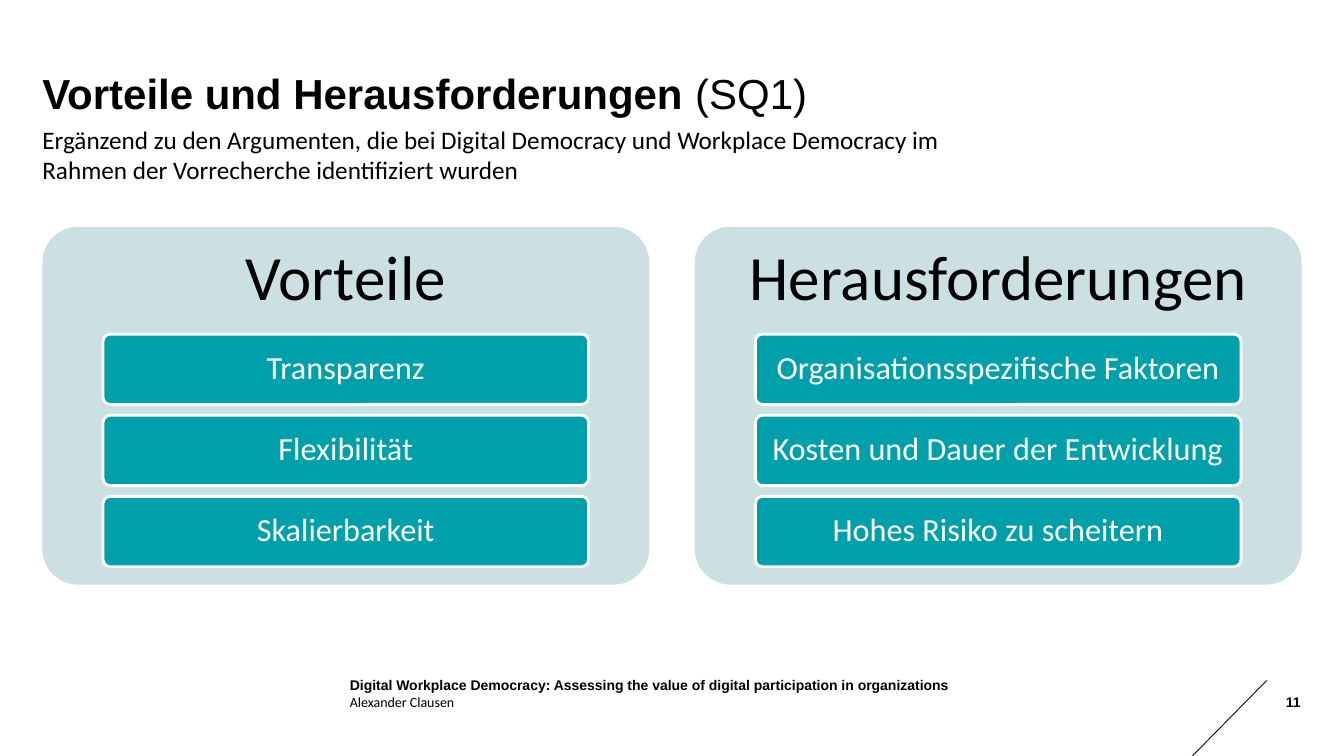
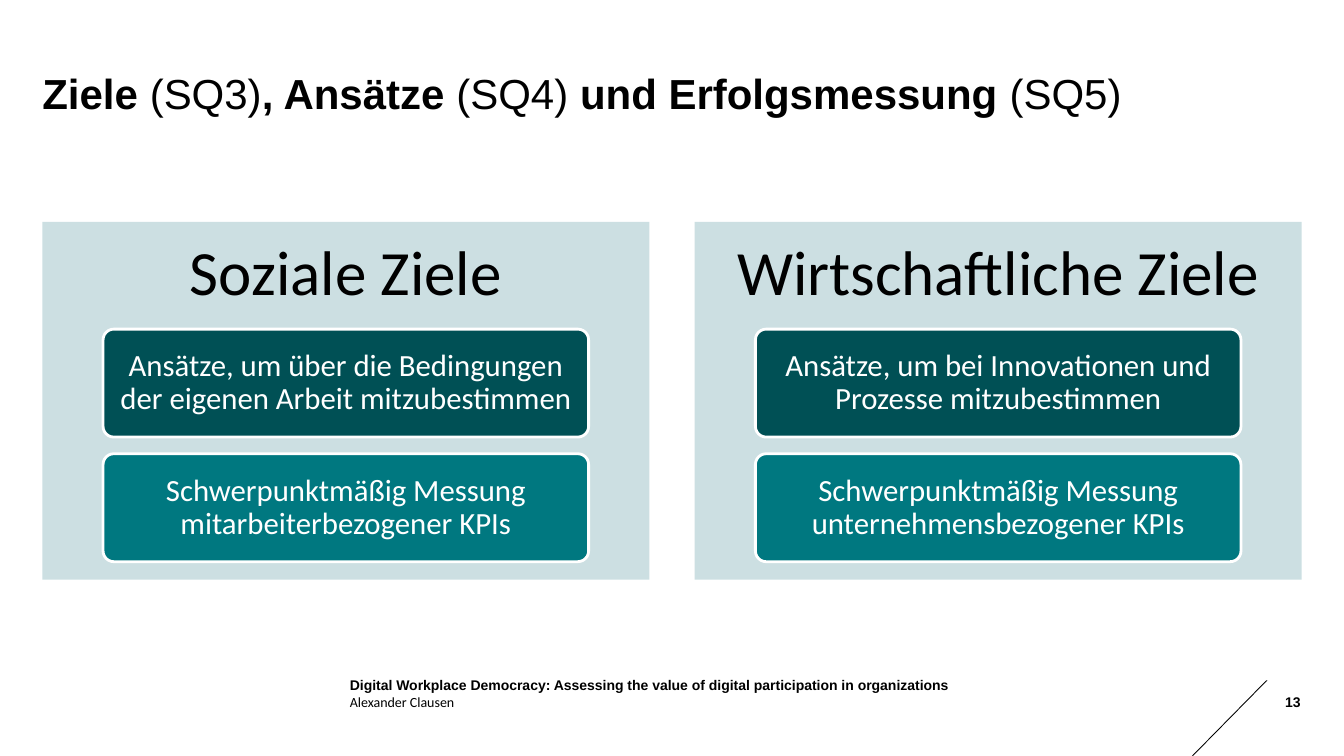
from pptx import Presentation
from pptx.dml.color import RGBColor
from pptx.enum.shapes import MSO_SHAPE
from pptx.enum.text import MSO_ANCHOR, MSO_AUTO_SIZE, PP_ALIGN
from pptx.util import Inches, Pt

RECT, ROUND = MSO_SHAPE.RECTANGLE, MSO_SHAPE.ROUNDED_RECTANGLE
SLANT = MSO_SHAPE.PARALLELOGRAM
TOP, MID = MSO_ANCHOR.TOP, MSO_ANCHOR.MIDDLE
LEFT, CENTER, RIGHT = PP_ALIGN.LEFT, PP_ALIGN.CENTER, PP_ALIGN.RIGHT
FIXED = MSO_AUTO_SIZE.NONE

HEX = {
    "ink": "000000",
    "paper": "FFFFFF",
    "panel": "CCDFE2",
    "teal": "00A0AA",
    "deep": "005055",
    "mid": "007880",
}
WIDE, HIGH = 13.33, 7.5
EDGE = 0.42
SPAN = 12.49
PANEL = 6.02
TALL = 3.55
SIDE = 0.1
HEAD, BODY = 0.3, 0.65
GAP = 0.154


def tint(name):
    return RGBColor.from_string(HEX[name])


def place(shape, box):
    shape.left, shape.top, shape.width, shape.height = map(Inches, box)


def pad(frame, x=0, y=0, anchor=TOP):
    frame.word_wrap = True
    frame.auto_size = FIXED
    frame.vertical_anchor = anchor
    frame.margin_left = frame.margin_right = Inches(x)
    frame.margin_top = frame.margin_bottom = Inches(y)


def style(para, size, color="ink", face="Calibri", bold=False, align=LEFT):
    para.alignment = align
    font = para.font
    font.name, font.size, font.bold = face, Pt(size), bold
    font.color.rgb = tint(color)


def label(slide, box, text, size, anchor=MID, **look):
    shape = slide.shapes.add_textbox(*map(Inches, box))
    pad(shape.text_frame, anchor=anchor)
    para = shape.text_frame.paragraphs[0]
    para.text = text
    style(para, size, **look)
    return para


def block(slide, kind, box, fill, ratio=None):
    shape = slide.shapes.add_shape(kind, *map(Inches, box))
    shape.shadow.inherit = False
    shape.fill.solid()
    shape.fill.fore_color.rgb = tint(fill)
    shape.line.fill.background()
    if ratio is not None:
        shape.adjustments[0] = ratio
    return shape


def title(slide, parts):
    shape = slide.shapes.title
    place(shape, (EDGE, 0.67, SPAN, 0.5))
    pad(shape.text_frame)
    para = shape.text_frame.paragraphs[0]
    style(para, 30, face="Arial", bold=True)
    for text in parts:
        run = para.add_run()
        run.text = text
        if text.startswith("("):
            run.font.bold = False


def footer(slide, number):
    row = 0.17
    top = 6.71
    label(slide, (3.47, top, 6.36, row),
          "Digital Workplace Democracy: Assessing the value of digital "
          "participation in organizations", 10, face="Arial", bold=True)
    label(slide, (3.47, top + row, 6.36, row), "Alexander Clausen", 10)
    label(slide, (12.34, top + row, 0.56, row), str(number), 10,
          face="Arial", bold=True, align=RIGHT)
    block(slide, SLANT, (11.82, HIGH - 0.75, 0.75, 0.75), "ink", 0.984)


def item(slide, box, text, size, fill):
    shape = block(slide, ROUND, box, fill, 0.1)
    shape.line.color.rgb = tint("paper")
    shape.line.width = Pt(2)
    pad(shape.text_frame, 0.06, 0.05, MID)
    para = shape.text_frame.paragraphs[0]
    para.text = text
    para.line_spacing = 0.9
    style(para, size, "paper", align=CENTER)


def panel(slide, box, kind, head, items, fills, size):
    x, y, w, h = box
    block(slide, kind, box, "panel", 0.1 if kind == ROUND else None)
    para = label(slide, (x, y, w, h * HEAD), head, 45, align=CENTER)
    para.line_spacing = 0.9
    count = len(items)
    row = h * BODY / (count + (count - 1) * GAP)
    for i, (text, fill) in enumerate(zip(items, fills)):
        spot = (x + w * SIDE, y + h * HEAD + i * row * (1 + GAP),
                w * (1 - 2 * SIDE), row)
        item(slide, spot, text, size, fill)


def page(deck, number, parts, top, kind, fills, size, groups, note=None):
    slide = deck.slides.add_slide(deck.slide_layouts[5])
    title(slide, parts)
    if note:
        label(slide, (EDGE, 1.23, 9.26, 0.61), note, 18, anchor=TOP)
    for i, (head, items) in enumerate(groups):
        x = EDGE + i * (SPAN - PANEL)
        panel(slide, (x, top, PANEL, TALL), kind, head, items, fills, size)
    footer(slide, number)


def main():
    deck = Presentation()
    deck.slide_width, deck.slide_height = Inches(WIDE), Inches(HIGH)
    page(
        deck, 11, ["Vorteile und Herausforderungen ", "(SQ1)"],
        2.25, ROUND, ["teal"] * 3, 23,
        [
            ("Vorteile", ["Transparenz", "Flexibilität", "Skalierbarkeit"]),
            ("Herausforderungen", [
                "Organisationsspezifische Faktoren",
                "Kosten und Dauer der Entwicklung",
                "Hohes Risiko zu scheitern",
            ]),
        ],
        "Ergänzend zu den Argumenten, die bei Digital Democracy und Workplace "
        "Democracy im Rahmen der Vorrecherche identifiziert wurden",
    )
    page(
        deck, 13,
        ["Ziele ", "(SQ3)", ", Ansätze ", "(SQ4)", " und Erfolgsmessung ", "(SQ5)"],
        2.2, RECT, ["deep", "mid"], 22,
        [
            ("Soziale Ziele", [
                "Ansätze, um über die Bedingungen der eigenen Arbeit mitzubestimmen",
                "Schwerpunktmäßig Messung mitarbeiterbezogener KPIs",
            ]),
            ("Wirtschaftliche Ziele", [
                "Ansätze, um bei Innovationen und Prozesse mitzubestimmen",
                "Schwerpunktmäßig Messung unternehmensbezogener KPIs",
            ]),
        ],
    )
    deck.save("out.pptx")


if __name__ == "__main__":
    main()
